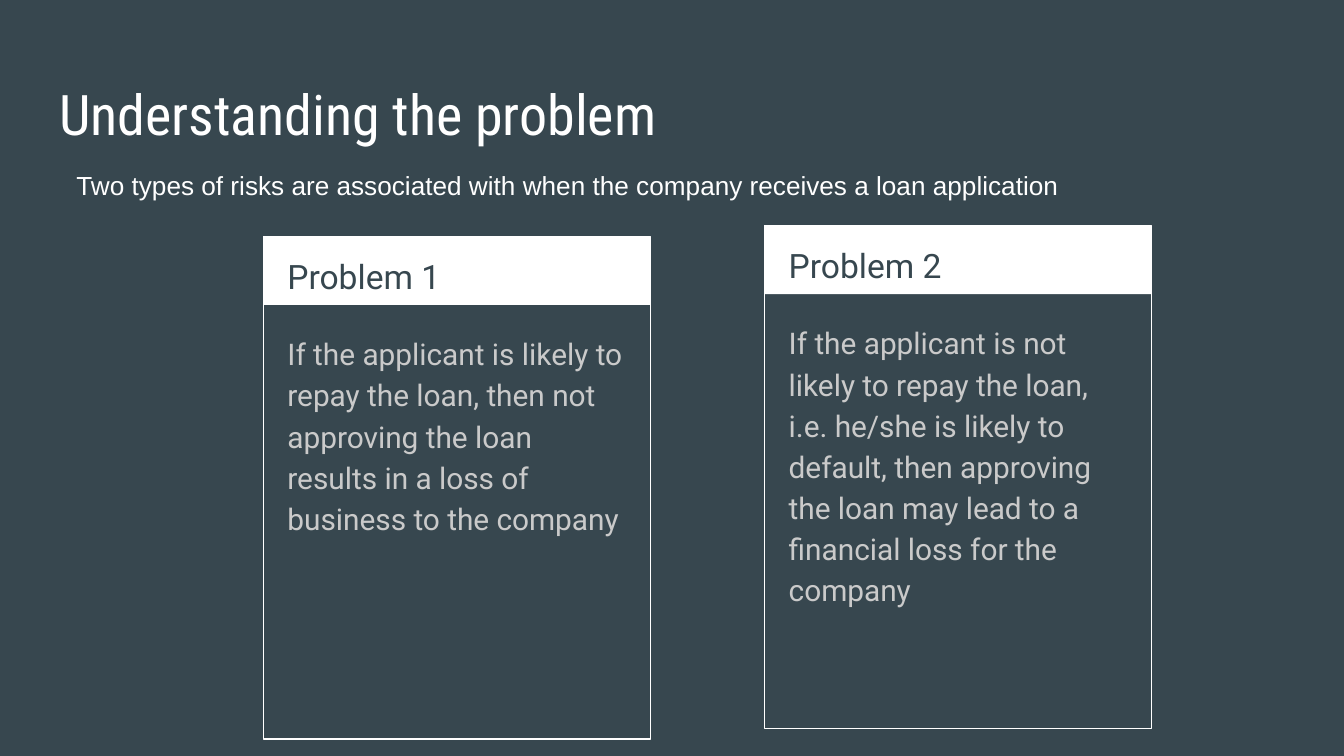
"""Builds the slide on the two lending risks."""
from dataclasses import dataclass
from pptx import Presentation
from pptx.dml.color import RGBColor
from pptx.enum import shapes, text
from pptx.util import Inches, Pt


@dataclass(frozen=True)
class Theme:
    back: str = "37474F"
    white: str = "FFFFFF"
    grey: str = "CACACA"
    title: tuple = ("Roboto Condensed", 30)
    intro: tuple = ("Arial", 14)
    head: tuple = ("Roboto", 18)
    body: tuple = ("Roboto", 16)


THEME = Theme()
TITLE = "Understanding the problem"
INTRO = "Two types of risks are associated with when the company receives a loan application"
CARDS = [
    (1.96, 1.76, "Problem 1",
     "If the applicant is likely to repay the loan, then not approving the loan "
     "results in a loss of business to the company"),
    (5.69, 1.68, "Problem 2",
     "If the applicant is not likely to repay the loan, i.e. he/she is likely to "
     "default, then approving the loan may lead to a financial loss for the company"),
]
WIDTH, HEIGHT, BAND = 2.88, 3.74, 0.51


def color(code):
    return RGBColor.from_string(code)


def write(box, words, style, tint, lead=None, after=0):
    frame = box.text_frame
    frame.text = words
    frame.word_wrap = True
    frame.auto_size = text.MSO_AUTO_SIZE.NONE
    frame.vertical_anchor = text.MSO_ANCHOR.TOP
    frame.margin_left = frame.margin_right = Inches(0.1)
    frame.margin_top = frame.margin_bottom = Inches(0.1)
    para = frame.paragraphs[0]
    para.alignment = text.PP_ALIGN.LEFT
    para.line_spacing = lead
    para.space_before, para.space_after = Pt(0), Pt(after)
    font = para.runs[0].font
    font.name, font.size = style[0], Pt(style[1])
    font.color.rgb = color(tint)


def label(slide, spot, *args):
    write(slide.shapes.add_textbox(*map(Inches, spot)), *args)


def panel(slide, spot, solid):
    box = slide.shapes.add_shape(shapes.MSO_SHAPE.RECTANGLE, *map(Inches, spot))
    box.shadow.inherit = False
    if solid:
        box.fill.solid()
        box.fill.fore_color.rgb = color(THEME.white)
        box.line.fill.background()
    else:
        box.fill.background()
        box.line.color.rgb = color(THEME.white)
        box.line.width = Pt(0.75)


def card(slide, left, top, head, body):
    panel(slide, (left, top, WIDTH, BAND), True)
    panel(slide, (left, top, WIDTH, HEIGHT), False)
    inner = left + 0.08
    label(slide, (inner, top, 2.73, 0.5), head, THEME.head, THEME.back, 1.15)
    label(slide, (inner, top + 0.6, 2.71, 3.06), body, THEME.body, THEME.grey, 1.15, 16)


def main():
    deck = Presentation()
    deck.slide_width = Inches(10)
    deck.slide_height = deck.slide_width * 9 // 16
    slide = deck.slides.add_slide(deck.slide_layouts[5])
    slide.background.fill.solid()
    slide.background.fill.fore_color.rgb = color(THEME.back)
    title = slide.shapes.title
    title.left, title.top, title.width, title.height = map(Inches, (0.34, 0.49, 9.32, 0.63))
    write(title, TITLE, THEME.title, THEME.white)
    for item in CARDS:
        card(slide, *item)
    label(slide, (0.47, 1.16, 8.96, 0.44), INTRO, THEME.intro, THEME.white)
    deck.save("out.pptx")


if __name__ == "__main__":
    main()
